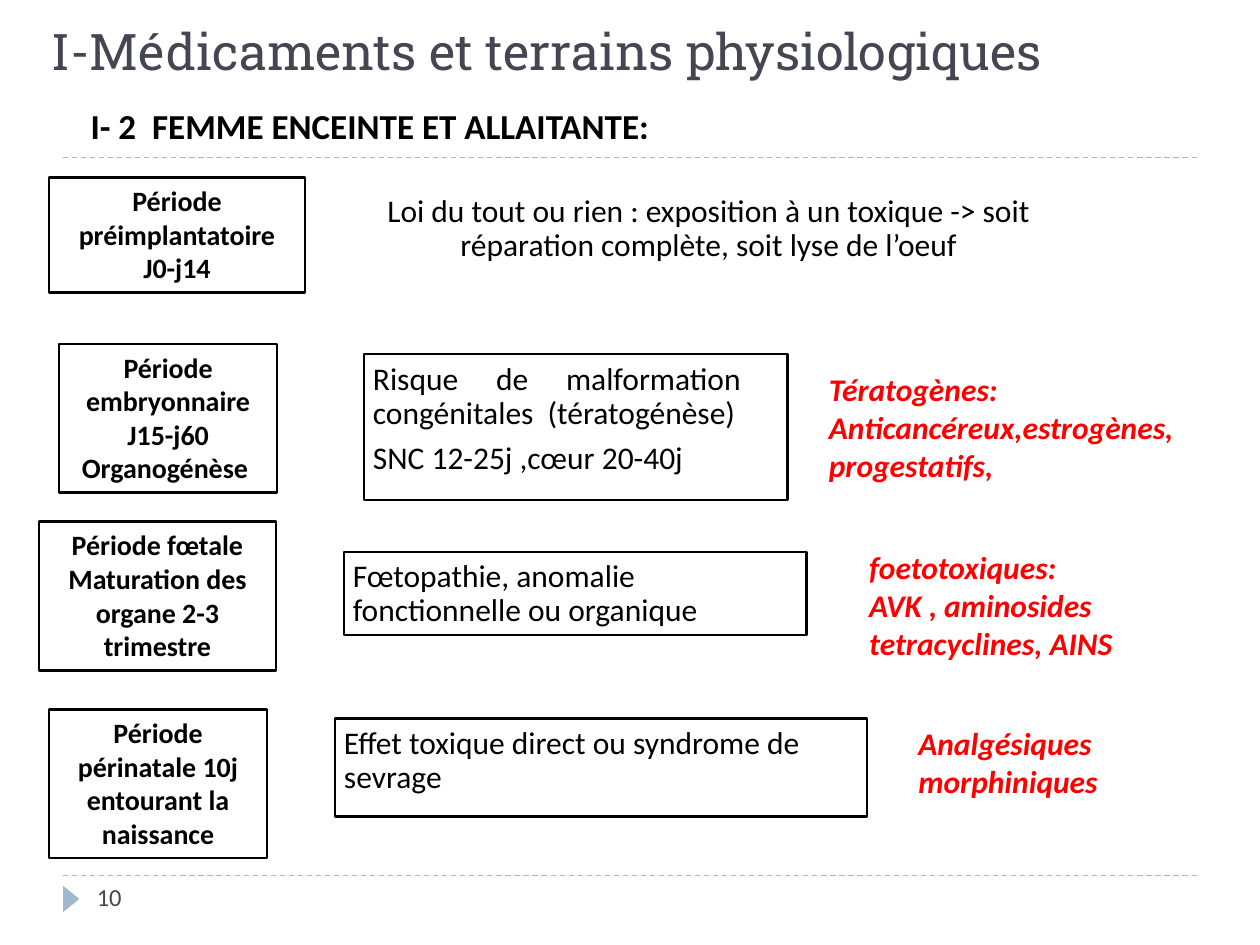
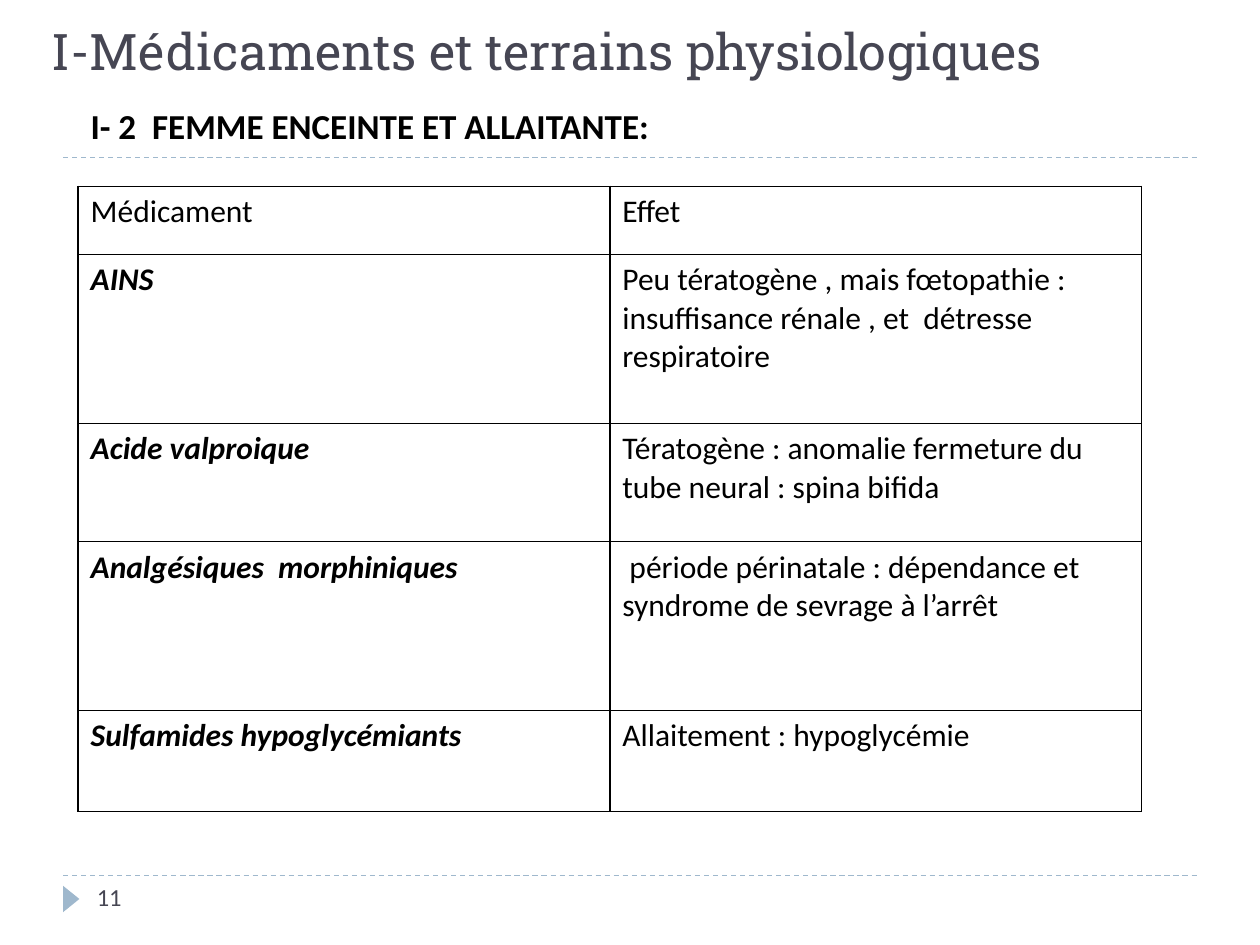
"""Builds two slides on medicines during pregnancy and breastfeeding."""
from lxml import etree
from pptx import Presentation, util as u
from pptx.dml.color import RGBColor
from pptx.enum import dml, shapes, text
from pptx.oxml import ns

PX = 9144
BLACK = RGBColor(0, 0, 0)
WHITE = RGBColor(255, 255, 255)
RED = RGBColor(255, 0, 0)
SLATE = RGBColor(0x46, 0x46, 0x53)
BLUE = RGBColor(0x9F, 0xB8, 0xCD)

TITLE = "I-Médicaments et terrains physiologiques"
SUBTITLE = "I- 2  FEMME ENCEINTE ET ALLAITANTE:"
LEFT, CENTER, JUSTIFY = text.PP_ALIGN.LEFT, text.PP_ALIGN.CENTER, text.PP_ALIGN.JUSTIFY

PLAIN = {"name": "Calibri", "size": 18, "bold": False, "italic": False, "color": BLACK}
STYLES = {
    "title": PLAIN | {"name": "Roboto Slab", "size": 28.8, "color": SLATE},
    "subtitle": PLAIN | {"size": 20, "bold": True},
    "number": PLAIN | {"size": 14, "color": SLATE},
    "period": PLAIN | {"size": 16, "bold": True},
    "risk": PLAIN,
    "drugs": PLAIN | {"bold": True, "italic": True, "color": RED},
    "cell": PLAIN,
    "drug name": PLAIN | {"bold": True, "italic": True},
}
SPACING = {"risk": {"line_spacing": 0.9, "space_after": u.Pt(6.3)}}
MARGINS = {"risk": 7}

PERIODS = [
    ("period", (39, 141, 203, 91), CENTER, True, ["Période préimplantatoire", "J0-j14"]),
    ("risk", (289, 148, 547, 63), CENTER, False,
     ["Loi du tout ou rien : exposition à un toxique -> soit réparation complète, soit lyse de l’oeuf"]),
    ("period", (47, 273, 173, 118), CENTER, True,
     ["Période embryonnaire", "J15-j60", "Organogénèse "]),
    ("risk", (289, 281, 336, 116), JUSTIFY, True,
     ["Risque de malformation  congénitales  (tératogénèse) ", "SNC 12-25j ,cœur 20-40j"]),
    ("drugs", (648, 289, 352, 101), JUSTIFY, False,
     ["Tératogènes: ", "Anticancéreux,estrogènes, progestatifs,"]),
    ("period", (31, 414, 188, 118), CENTER, True,
     ["Période fœtale", "Maturation des organe 2-3 trimestre"]),
    ("risk", (273, 438, 367, 66), LEFT, True, ["Fœtopathie, anomalie fonctionnelle ou organique"]),
    ("drugs", (680, 430, 289, 101), LEFT, False,
     ["foetotoxiques:", "AVK , aminosides tetracyclines, AINS"]),
    ("period", (39, 563, 173, 118), CENTER, True, ["Période périnatale 10j entourant la naissance"]),
    ("risk", (266, 570, 422, 78), LEFT, True, ["Effet toxique direct ou syndrome de sevrage"]),
    ("drugs", (719, 570, 170, 71), LEFT, False, ["Analgésiques", "morphiniques"]),
]

EFFECTS = [
    (54, "Médicament", "Effet"),
    (134, "AINS",
     "Peu tératogène , mais fœtopathie :  insuffisance rénale , et  détresse respiratoire"),
    (94, "Acide valproique", "Tératogène : anomalie fermeture du tube neural : spina bifida"),
    (134, "Analgésiques  morphiniques",
     " période périnatale : dépendance et syndrome de sevrage à l’arrêt"),
    (80, "Sulfamides hypoglycémiants", "Allaitement : hypoglycémie"),
]


def scaled(lengths):
    return [u.Emu(length * PX) for length in lengths]


def write(frame, lines, style, alignment=LEFT):
    frame.word_wrap = True
    for index, line in enumerate(lines):
        paragraph = frame.paragraphs[0] if index == 0 else frame.add_paragraph()
        for name, value in SPACING.get(style, {}).items():
            setattr(paragraph, name, value)
        paragraph.alignment = alignment
        run = paragraph.add_run()
        run.text = line
        for name, value in STYLES[style].items():
            if name == "color":
                run.font.color.rgb = value
            else:
                setattr(run.font, name, u.Pt(value) if name == "size" else value)


def add_text(slide, style, place, lines, alignment=LEFT, boxed=False):
    if boxed:
        shape = slide.shapes.add_shape(shapes.MSO_SHAPE.RECTANGLE, *scaled(place))
        shape.shadow.inherit = False
        shape.fill.solid()
        shape.fill.fore_color.rgb = WHITE
        shape.line.color.rgb = BLACK
        shape.line.width = u.Pt(1.5)
    else:
        shape = slide.shapes.add_textbox(*scaled(place))
    frame = shape.text_frame
    frame.vertical_anchor = text.MSO_ANCHOR.TOP
    if style in MARGINS:
        for side in ("left", "top", "right", "bottom"):
            setattr(frame, f"margin_{side}", u.Emu(MARGINS[style] * PX))
    write(frame, lines, style, alignment)


def add_base(presentation, number):
    slide = presentation.slides.add_slide(presentation.slide_layouts[5])
    for height in (695, 125):
        line = slide.shapes.add_connector(
            shapes.MSO_CONNECTOR.STRAIGHT, *scaled((50, height, 950, height)))
        line.line.color.rgb = BLUE
        line.line.width = u.Pt(0.75)
        line.line.dash_style = dml.MSO_LINE.DASH
        etree.SubElement(line._element.spPr, ns.qn("a:effectLst"))
    marker = slide.shapes.add_shape(
        shapes.MSO_SHAPE.ISOSCELES_TRIANGLE, *scaled((46, 707, 21, 13)))
    marker.rotation = 90
    marker.shadow.inherit = False
    marker.fill.solid()
    marker.fill.fore_color.rgb = BLUE
    marker.line.fill.background()

    title = slide.shapes.title
    title.left, title.top, title.width, title.height = scaled((31, -31, 900, 100))
    title.text_frame.vertical_anchor = text.MSO_ANCHOR.BOTTOM
    write(title.text_frame, [TITLE], "title")
    add_text(slide, "subtitle", (62, 78, 591, 44), [SUBTITLE])
    add_text(slide, "number", (67, 695, 217, 40), [str(number)])
    return slide


def add_borders(cell):
    properties = cell._tc.get_or_add_tcPr()
    for index, side in enumerate(("lnL", "lnR", "lnT", "lnB")):
        border = etree.Element(ns.qn(f"a:{side}"), w=str(u.Pt(1)))
        fill = etree.SubElement(border, ns.qn("a:solidFill"))
        etree.SubElement(fill, ns.qn("a:srgbClr"), val=str(BLACK))
        properties.insert(index, border)


def add_effects_table(slide):
    heights = [row[0] for row in EFFECTS]
    place = scaled((62, 148, 844, sum(heights)))
    table = slide.shapes.add_table(len(EFFECTS), 2, *place).table
    table.first_row = table.horz_banding = False
    for row, (height, *entries) in enumerate(EFFECTS):
        table.rows[row].height = u.Emu(height * PX)
        for column, entry in enumerate(entries):
            cell = table.cell(row, column)
            cell.fill.background()
            add_borders(cell)
            write(cell.text_frame, [entry], "drug name" if row and not column else "cell")


def main():
    presentation = Presentation()
    presentation.slide_width, presentation.slide_height = scaled((1000, 750))
    periods_slide = add_base(presentation, 10)
    for style, place, alignment, boxed, lines in PERIODS:
        add_text(periods_slide, style, place, lines, alignment, boxed)
    add_effects_table(add_base(presentation, 11))
    presentation.save("out.pptx")


if __name__ == "__main__":
    main()
